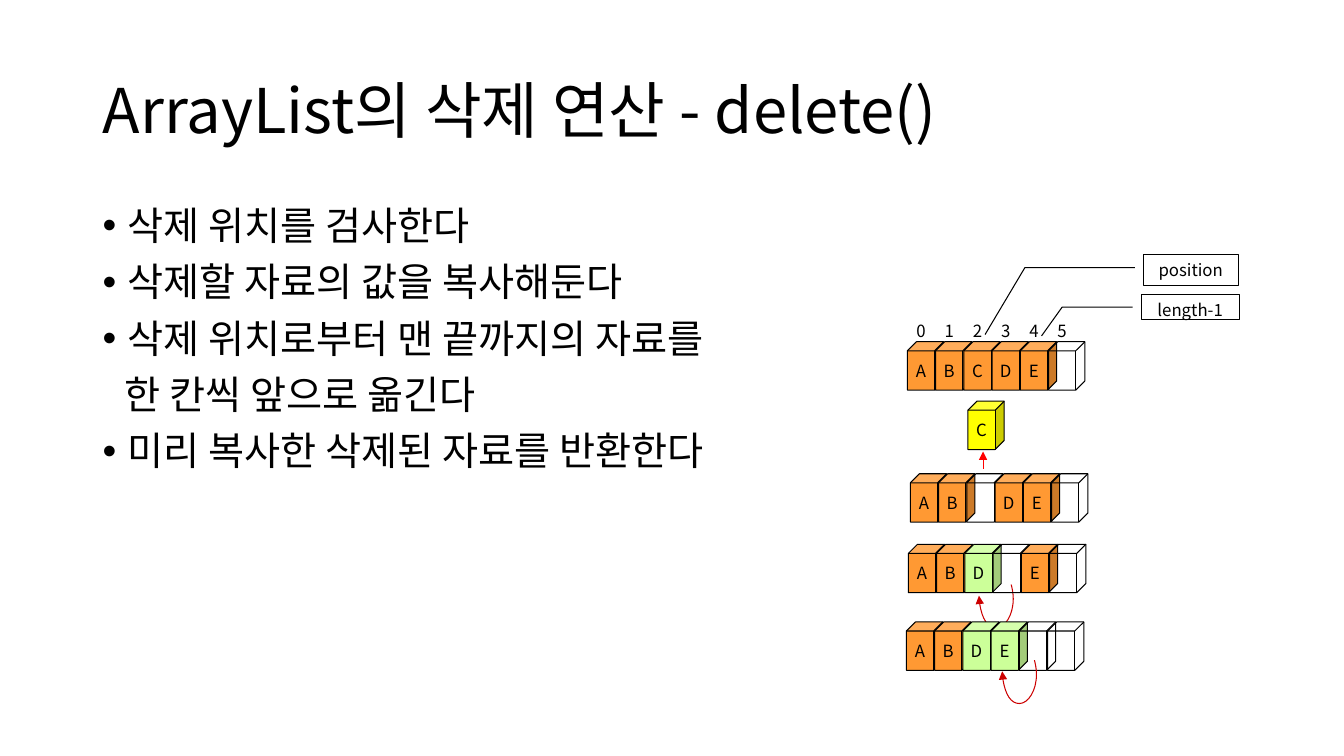
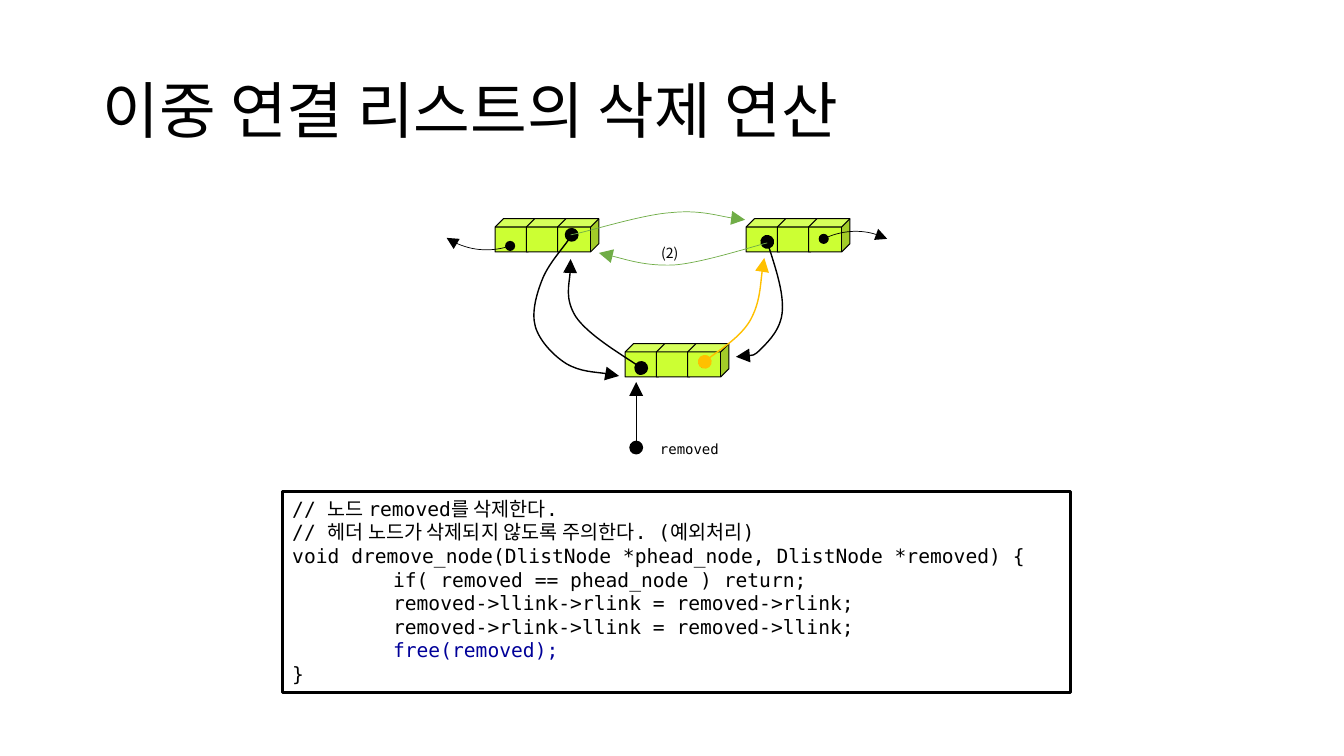
from lxml.etree import SubElement
from pptx import Presentation
from pptx.dml.color import RGBColor
from pptx.enum.shapes import MSO_CONNECTOR, MSO_SHAPE
from pptx.enum.text import MSO_ANCHOR, PP_ALIGN
from pptx.oxml.ns import qn
from pptx.util import Emu, Pt

PX = 9144
SLIDE_SIZE = (1333, 750)
TITLE_BOX = (92, 40, 1150, 145)
TITLE_ONLY = 5

FONT = "Noto Sans CJK KR"
CODE_FONT = "DejaVu Sans Mono"

BLACK = RGBColor(0x00, 0x00, 0x00)
ORANGE = RGBColor(0xFF, 0x99, 0x33)
PALE_GREEN = RGBColor(0xCC, 0xFF, 0x99)
YELLOW = RGBColor(0xFF, 0xFF, 0x00)
LIME = RGBColor(0xCC, 0xFF, 0x33)
RED = RGBColor(0xFF, 0x00, 0x00)
DARK_RED = RGBColor(0xCC, 0x00, 0x00)
GOLD = RGBColor(0xFF, 0xC0, 0x00)
GREEN = RGBColor(0x70, 0xAD, 0x47)
NAVY = RGBColor(0x00, 0x00, 0x99)

CELL_SIZE = (36, 48)
CELL_STEP = 28
FIELD_SIZE = (41, 33)
FIELD_STEP = 31
DOT = 10

BULLETS = [
    ("삭제 위치를 검사한다", True),
    ("삭제할 자료의 값을 복사해둔다", True),
    ("삭제 위치로부터 맨 끝까지의 자료를", True),
    ("한 칸씩 앞으로 옮긴다", False),
    ("미리 복사한 삭제된 자료를 반환한다", True),
]
ARRAY_ROWS = [
    (900, 339, "ABCDE ", ""),
    (903, 470, "AB DE ", ""),
    (901, 540, "ABD E ", "D"),
    (899, 617, "ABDE  ", "DE"),
]
CALLOUTS = [
    ("position", (1134, 253, 94, 30), (0.42, -0.09, 0.42, -1.25, 2.63, -1.67)),
    ("length-1", (1132, 292, 97, 25), (0.51, -0.09, 0.51, -0.81, 1.65, -1.02)),
]
SHIFT_LOOP = [
    (1003, 580), (1004, 584), (1005, 589), (1005, 594), (1005, 610), (997, 623),
    (988, 623), (980, 623), (972, 612), (971, 591),
]
NODES = [(740, 217), (491, 217), (620, 341)]
DOTS = [(812, 232), (501, 239), (693, 355), (630, 362)]
OUTER_LINKS = [
    [(817, 237), (833, 229), (853, 227), (870, 233)],
    [(506, 244), (488, 250), (469, 249), (452, 241)],
]
OUTER_HEADS = [
    [(871, 227), (880, 237), (867, 238)],
    [(450, 247), (443, 236), (456, 237)],
]
NODE_LINKS = [
    (BLACK, [(636, 365), (625, 357), (583, 332), (571, 314), (560, 296), (567, 269),
             (566, 257)]),
    (GOLD, [(699, 359), (706, 352), (734, 335), (744, 318), (754, 300), (755, 269),
            (758, 256)]),
    (BLACK, [(567, 233), (563, 241), (544, 262), (538, 277), (532, 292), (527, 310),
             (531, 324), (535, 338), (549, 353), (562, 361), (576, 369), (603, 370),
             (614, 373)]),
    (BLACK, [(761, 240), (769, 265), (777, 290), (776, 308), (775, 326), (763, 338),
             (755, 346), (747, 354), (738, 354), (730, 354)]),
]
NEW_LINKS = [
    [(566, 233), (583, 230), (636, 213), (665, 211), (693, 208), (723, 217), (739, 218)],
    [(761, 241), (745, 245), (696, 261), (668, 263), (640, 264), (609, 254), (594, 251)],
]
CODE_LINES = [
    ("// 노드 removed를 삭제한다.", BLACK),
    ("// 헤더 노드가 삭제되지 않도록 주의한다. (예외처리)", BLACK),
    ("void dremove_node(DlistNode *phead_node, DlistNode *removed) {", BLACK),
    ("\tif( removed == phead_node ) return;", BLACK),
    ("\tremoved->llink->rlink = removed->rlink;", BLACK),
    ("\tremoved->rlink->llink = removed->llink;", BLACK),
    ("\tfree(removed);", NAVY),
    ("}", BLACK),
]


def px(*lengths):
    """Turn px lengths into a list of EMU lengths."""
    return [Emu(length * PX) for length in lengths]


def add_run(paragraph, text, size, font=FONT, color=BLACK):
    """Add one formatted run, with an explicit Korean font beside the code font."""
    run = paragraph.add_run()
    run.text = text
    run.font.size = Pt(size)
    run.font.name = font
    run.font.color.rgb = color
    if font == CODE_FONT:
        SubElement(run.font._element, qn("a:ea"), typeface=FONT)


def style_line(line, color, width, head=None, tail=None, end_size="med"):
    """Set a line's colour, width and end marks."""
    line.color.rgb = color
    line.width = Pt(width)
    for tag, kind in (("a:headEnd", head), ("a:tailEnd", tail)):
        if kind:
            SubElement(line._get_or_add_ln(), qn(tag), type=kind, w=end_size, len=end_size)


def style_shape(shape, fill=None, line=BLACK, width=0.75):
    """Set a shape's optional fill and outline, without shadow."""
    shape.shadow.inherit = False
    if fill is None:
        shape.fill.background()
    else:
        shape.fill.solid()
        shape.fill.fore_color.rgb = fill
    if line is None:
        shape.line.fill.background()
    else:
        style_line(shape.line, line, width)


def add_box(slide, kind, box, fill=None, line=BLACK, width=0.75):
    """Add a preset shape."""
    shape = slide.shapes.add_shape(kind, *px(*box))
    style_shape(shape, fill, line, width)
    return shape


def add_cube(slide, box, text="", fill=None, line=BLACK, size=12, font=FONT):
    """Add a cube with a short label on its front face."""
    shape = add_box(slide, MSO_SHAPE.CUBE, box, fill, line)
    if text:
        frame = shape.text_frame
        frame.word_wrap = False
        frame.vertical_anchor = MSO_ANCHOR.MIDDLE
        frame.paragraphs[0].alignment = PP_ALIGN.CENTER
        add_run(frame.paragraphs[0], text, size, font)


def add_label(slide, box, text, size):
    """Add a one-line text box."""
    text_box = slide.shapes.add_textbox(*px(*box))
    text_box.text_frame.word_wrap = False
    add_run(text_box.text_frame.paragraphs[0], text, size)


def add_freeform(slide, points, close):
    """Add a freeform through the given points."""
    builder = slide.shapes.build_freeform(*points[0], scale=PX)
    builder.add_line_segments(points[1:], close=close)
    return builder.convert_to_shape()


def add_curve(slide, points, color, width, head=None, tail="triangle", end_size="lg"):
    """Add an open line through cubic segments of three points each."""
    shape = add_freeform(slide, points, False)
    style_shape(shape, line=None)
    style_line(shape.line, color, width, head, tail, end_size)
    outline = next(shape._element.iter(qn("a:path")))
    segments = list(outline)[1:]
    for start in range(0, len(segments), 3):
        bezier = SubElement(outline, qn("a:cubicBezTo"))
        for segment in segments[start:start + 3]:
            bezier.append(segment[0])
            outline.remove(segment)


def add_arrow(slide, start, end, color, head=None, end_size="med"):
    """Add a straight arrow."""
    connector = slide.shapes.add_connector(MSO_CONNECTOR.STRAIGHT, *px(*start, *end))
    style_line(connector.line, color, 0.75, head, "triangle", end_size)
    SubElement(connector._element.spPr, qn("a:effectLst"))


def add_title_slide(presentation, title):
    """Add a slide and format its title placeholder."""
    slide = presentation.slides.add_slide(presentation.slide_layouts[TITLE_ONLY])
    shape = slide.shapes.title
    shape.left, shape.top, shape.width, shape.height = px(*TITLE_BOX)
    shape.text_frame.vertical_anchor = MSO_ANCHOR.MIDDLE
    paragraph = shape.text_frame.paragraphs[0]
    paragraph.alignment = PP_ALIGN.LEFT
    paragraph.line_spacing = 0.9
    add_run(paragraph, title, 44)
    return slide


def add_paragraphs(frame, count):
    """Return the frame's paragraphs after adding all but the first."""
    for _ in range(count - 1):
        frame.add_paragraph()
    return frame.paragraphs


def add_bullets(slide, box, items):
    """Add the bulleted list, with unmarked continuation lines."""
    frame = slide.shapes.add_textbox(*px(*box)).text_frame
    frame.word_wrap = True
    for index, paragraph in enumerate(add_paragraphs(frame, len(items))):
        text, marked = items[index]
        properties = paragraph._p.get_or_add_pPr()
        properties.set("marL", str((25 if marked else 22) * PX))
        if marked:
            properties.set("indent", str(-25 * PX))
            SubElement(properties, qn("a:buFont"), typeface="Arial")
            SubElement(properties, qn("a:buChar"), char="•")
        paragraph.line_spacing = 0.9
        if index:
            paragraph.space_before = Pt(10)
        add_run(paragraph, text, 28)


def add_array(slide, left, top, letters, moved):
    """Add a row of array cells, with moved letters in green."""
    for index, letter in enumerate(letters):
        fill = PALE_GREEN if letter in moved else ORANGE
        box = (left + index * CELL_STEP, top, *CELL_SIZE)
        add_cube(slide, box, letter.strip(), None if letter == " " else fill)


def add_callout(slide, text, box, adjustments):
    """Add a bordered label with a bent leader line."""
    shape = add_box(slide, MSO_SHAPE.LINE_CALLOUT_2, box)
    for index, value in enumerate(adjustments):
        shape.adjustments[index] = value
    shape.text_frame.word_wrap = True
    shape.text_frame.vertical_anchor = MSO_ANCHOR.TOP
    paragraph = shape.text_frame.paragraphs[0]
    paragraph.alignment = PP_ALIGN.CENTER
    add_run(paragraph, text, 12)


def add_code(slide, box, lines):
    """Add the framed code listing with one-inch tabs."""
    frame = add_box(slide, MSO_SHAPE.RECTANGLE, box, width=2).text_frame
    frame.word_wrap = True
    frame.vertical_anchor = MSO_ANCHOR.TOP
    for paragraph, (text, color) in zip(add_paragraphs(frame, len(lines)), lines):
        tabs = SubElement(paragraph._p.get_or_add_pPr(), qn("a:tabLst"))
        SubElement(tabs, qn("a:tab"), pos=str(100 * PX), algn="l")
        paragraph.alignment = PP_ALIGN.JUSTIFY
        add_run(paragraph, text, 14, CODE_FONT, color)


def build_array_slide(presentation):
    """Build the slide on deleting from an array list."""
    slide = add_title_slide(presentation, "ArrayList의 삭제 연산 - delete()")
    add_bullets(slide, (92, 200, 750, 476), BULLETS)
    for index in range(6):
        add_cube(slide, (900 + index * CELL_STEP, 300, *CELL_SIZE), str(index), line=None)
    add_array(slide, *ARRAY_ROWS[0])
    add_array(slide, *ARRAY_ROWS[1])
    add_curve(slide, SHIFT_LOOP, DARK_RED, 0.75, end_size="med")
    add_array(slide, *ARRAY_ROWS[2])
    for callout in CALLOUTS:
        add_callout(slide, *callout)
    add_array(slide, *ARRAY_ROWS[3])
    second_loop = [(x + 23, y + 75) for x, y in SHIFT_LOOP]
    add_curve(slide, second_loop, DARK_RED, 0.75, end_size="med")
    add_cube(slide, (960, 398, *CELL_SIZE), "C", YELLOW)
    add_arrow(slide, (975, 465), (975, 448), RED)


def build_linked_list_slide(presentation):
    """Build the slide on deleting from a doubly linked list."""
    slide = add_title_slide(presentation, "이중 연결 리스트의 삭제 연산")
    for left, top in NODES:
        for index in range(3):
            add_cube(slide, (left + index * FIELD_STEP, top, *FIELD_SIZE), fill=LIME)
    for left, top in DOTS:
        add_box(slide, MSO_SHAPE.OVAL, (left, top, DOT, DOT), BLACK, None)
    for link, head in zip(OUTER_LINKS, OUTER_HEADS):
        add_curve(slide, link, BLACK, 0.5, tail=None)
        style_shape(add_freeform(slide, head, True), BLACK, None)
    add_label(slide, (646, 238, 56, 35), "(2)", 10)
    for color, points in NODE_LINKS:
        add_curve(slide, points, color, 1, "oval")
    for points in NEW_LINKS:
        add_curve(slide, points, GREEN, 0.5)
    add_cube(slide, (626, 424, 124, 34), "removed", line=None, size=10, font=CODE_FONT)
    add_arrow(slide, (631, 444), (631, 379), BLACK, "oval", "lg")
    add_code(slide, (280, 488, 782, 199), CODE_LINES)


def main():
    """Build and save the presentation."""
    presentation = Presentation()
    presentation.slide_width, presentation.slide_height = px(*SLIDE_SIZE)
    build_array_slide(presentation)
    build_linked_list_slide(presentation)
    presentation.save("out.pptx")


if __name__ == "__main__":
    main()
